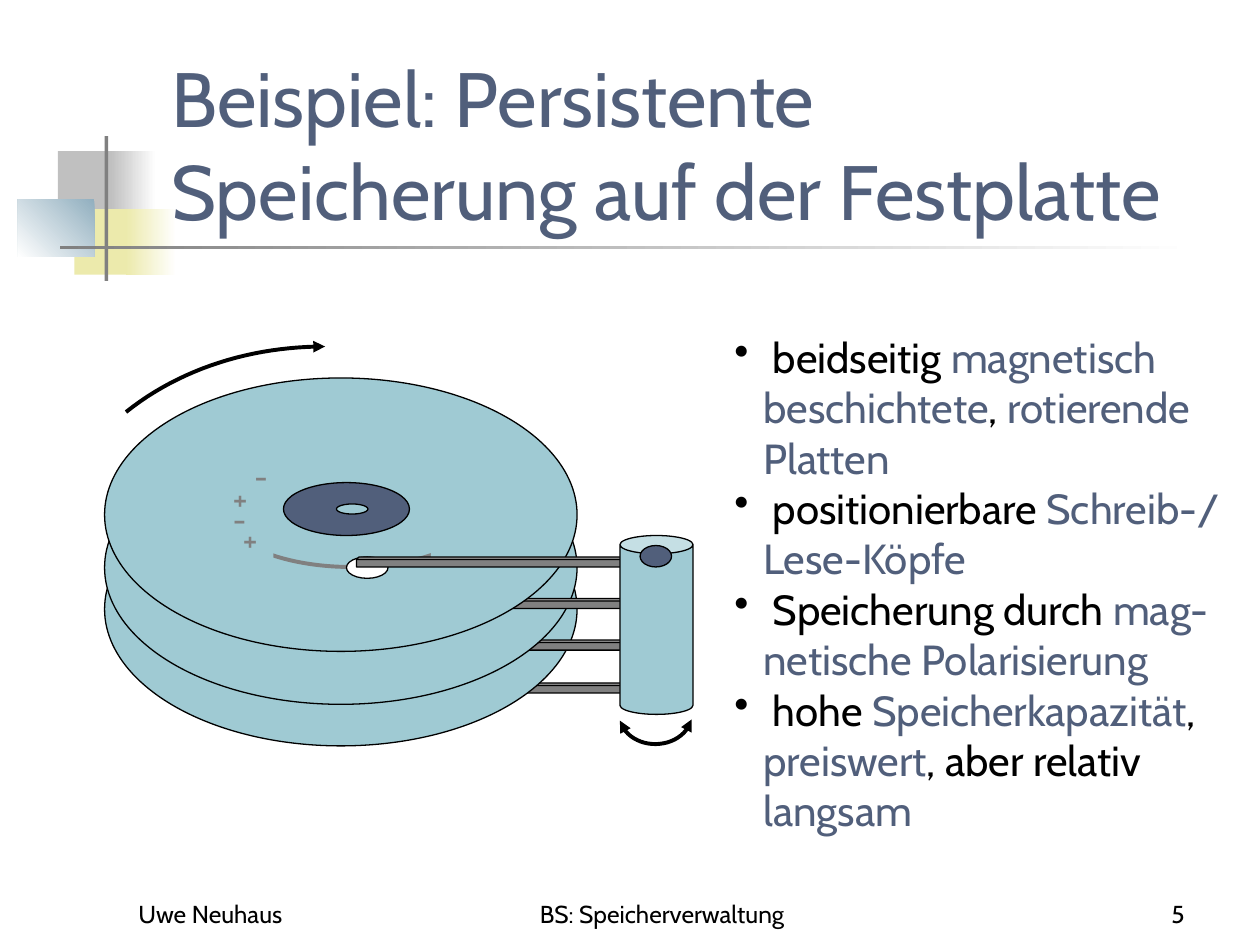
from pptx import Presentation
from pptx.dml.color import RGBColor
from pptx.enum.shapes import MSO_SHAPE as Shape
from pptx.enum.text import MSO_ANCHOR as Anchor, PP_ALIGN as Align
from pptx.oxml.ns import qn
from pptx.util import Inches, Pt
from lxml import etree

BLACK = RGBColor(0x00, 0x00, 0x00)
WHITE = RGBColor(0xFF, 0xFF, 0xFF)
GRAY = RGBColor(0x80, 0x80, 0x80)
SILVER = RGBColor(0xC0, 0xC0, 0xC0)
YELLOW = RGBColor(0xEC, 0xEA, 0xAC)
STEEL = RGBColor(0x91, 0xAF, 0xBF)
NAVY = RGBColor(0x51, 0x5F, 0x7B)
TEAL = RGBColor(0x9F, 0xCA, 0xD3)
FONT = "Cabin"

deck = Presentation()
deck.slide_width, deck.slide_height = Inches(10), Inches(7.5)
page = deck.slides.add_slide(deck.slide_layouts[6])


def add_figure(kind, bounds, fill, line=None, width=0.75, angle=0):
    """Add a preset shape; a pair of colours as fill makes a gradient."""
    figure = page.shapes.add_shape(kind, *map(Inches, bounds))
    figure.shadow.inherit = False
    if isinstance(fill, list):
        figure.fill.gradient()
        figure.fill.gradient_angle = angle
        for stop, color in zip(figure.fill.gradient_stops, fill):
            stop.color.rgb = color
    else:
        figure.fill.solid()
        figure.fill.fore_color.rgb = fill
    if line is None:
        figure.line.fill.background()
    else:
        figure.line.color.rgb = line
        figure.line.width = Pt(width)


def add_text(bounds, text, size, color, align=Align.LEFT, anchor=Anchor.TOP):
    box = page.shapes.add_textbox(*map(Inches, bounds))
    frame = box.text_frame
    frame.word_wrap = True
    frame.vertical_anchor = anchor
    frame.text = text
    para = frame.paragraphs[0]
    para.alignment = align
    para.font.name, para.font.size, para.font.color.rgb = FONT, Pt(size), color
    return frame


# Decoration beside and below the title
for bounds, fill, angle in [
    ((0.46, 1.2, 0.48, 0.52), SILVER, 0),
    ((0.88, 1.2, 0.36, 0.52), [WHITE, SILVER], 180),
    ((0.59, 1.66, 0.46, 0.52), YELLOW, 0),
    ((1, 1.66, 0.4, 0.52), [WHITE, YELLOW], 180),
    ((0.14, 1.58, 0.61, 0.46), [STEEL, WHITE], 225),
    ((0.83, 1.08, 0.03, 1.15), GRAY, 0),
    ((0.48, 1.95, 9, 0.03), [WHITE, GRAY], 180),
]:
    add_figure(Shape.RECTANGLE, bounds, fill, angle=angle)

add_text((1.26, 0.67, 8.52, 1.25),
         "Beispiel: Persistente Speicherung auf der Festplatte",
         44, NAVY, anchor=Anchor.BOTTOM)

# Platters from bottom to top, each in front of the arm below it
for arm_top, platter_top in [(5.42, 3.75), (5.08, 3.42), (4.75, 3)]:
    add_figure(Shape.CUBE, (2.83, arm_top, 2.17, 0.08), GRAY, BLACK)
    add_figure(Shape.OVAL, (0.83, platter_top, 3.75, 2.17), TEAL, BLACK)

# Track ring, of which the covers leave only the lower arc visible
add_figure(Shape.OVAL, (1.75, 3.58, 2.08, 0.92), TEAL, GRAY, 2.25)
for cover in [(3.42, 3.67, 0.58, 0.75), (1.92, 3.33, 1.58, 0.5),
              (1.67, 3.67, 0.5, 0.83)]:
    add_figure(Shape.RECTANGLE, cover, TEAL)

# Hub, head, top arm and actuator
for kind, bounds, fill in [
    (Shape.OVAL, (2.25, 3.83, 1, 0.42), NAVY),
    (Shape.OVAL, (2.67, 4, 0.25, 0.08), TEAL),
    (Shape.OVAL, (2.75, 4.42, 0.33, 0.17), WHITE),
    (Shape.CUBE, (2.83, 4.42, 2.17, 0.08), GRAY),
    (Shape.CAN, (4.92, 4.25, 0.58, 1.42), TEAL),
    (Shape.OVAL, (5.08, 4.33, 0.25, 0.17), NAVY),
]:
    add_figure(kind, bounds, fill, BLACK)

# Rotation arrows: Bezier control points and the ends that carry arrowheads
STEPS = 24
for controls, ends in [
    ([(1, 3.27), (1.44, 2.92), (2, 2.75), (2.58, 2.75)], ["tailEnd"]),
    ([(4.92, 5.72), (5, 5.97), (5.41, 5.97), (5.49, 5.71)],
     ["headEnd", "tailEnd"]),
]:
    points = []
    for step in range(STEPS + 1):
        t = step / STEPS
        weights = [(1 - t) ** 3, 3 * t * (1 - t) ** 2, 3 * t ** 2 * (1 - t), t ** 3]
        points.append([Inches(sum(w * c for w, c in zip(weights, axis)))
                       for axis in zip(*controls)])
    builder = page.shapes.build_freeform(*points[0])
    builder.add_line_segments(points[1:], close=False)
    arrow = builder.convert_to_shape()
    arrow.shadow.inherit = False
    arrow.fill.background()
    arrow.line.color.rgb = BLACK
    arrow.line.width = Pt(2.25)
    for end in ends:
        etree.SubElement(arrow.line._get_or_add_ln(), qn(f"a:{end}"), type="triangle")

# Magnetic polarity along the track
for left, top, sign in [(1.83, 4.08, "+"), (1.75, 3.92, "-"),
                        (1.75, 3.75, "+"), (1.92, 3.58, "-")]:
    add_text((left, top, 0.33, 0.4), sign, 18, GRAY)

# Properties: lines of (text, colour) spans
properties = [
    [[(" beidseitig ", BLACK), ("magnetisch", NAVY)],
     [("beschichtete", NAVY), (", ", BLACK), ("rotierende", NAVY)],
     [("Platten", NAVY)]],
    [[(" positionierbare ", BLACK), ("Schreib-/", NAVY)],
     [("Lese-Köpfe", NAVY)]],
    [[(" Speicherung durch ", BLACK), ("mag-", NAVY)],
     [("netische Polarisierung", NAVY)]],
    [[(" hohe ", BLACK), ("Speicherkapazität", NAVY), (",", BLACK)],
     [("preiswert", NAVY), (", aber relativ", BLACK)],
     [("langsam", NAVY)]],
]
frame = add_text((5.73, 2.58, 4.25, 4.1), "", 24, BLACK)
for index, lines in enumerate(properties):
    para = frame.add_paragraph() if index else frame.paragraphs[0]
    settings = para._p.get_or_add_pPr()
    settings.set("marL", str(Inches(0.23)))
    settings.set("indent", str(-Inches(0.23)))
    bullet_color = etree.Element(qn("a:buClr"))
    etree.SubElement(bullet_color, qn("a:srgbClr"), val=str(BLACK))
    bullet = etree.Element(qn("a:buChar"), char="•")
    settings.insert(0, bullet_color)
    settings.insert(1, bullet)
    for number, line in enumerate(lines):
        if number:
            para.add_line_break()
        for text, color in line:
            span = para.add_run()
            span.text = text
            span.font.name, span.font.size = FONT, Pt(24)
            span.font.color.rgb = color

# Footer
for left, width, text, align in [
    (1, 2.08, "Uwe Neuhaus", Align.LEFT),
    (3.67, 3.17, "BS: Speicherverwaltung", Align.CENTER),
    (7.42, 2.08, "5", Align.RIGHT),
]:
    add_text((left, 6.92, width, 0.5), text, 14, BLACK, align, Anchor.BOTTOM)

deck.save("out.pptx")
